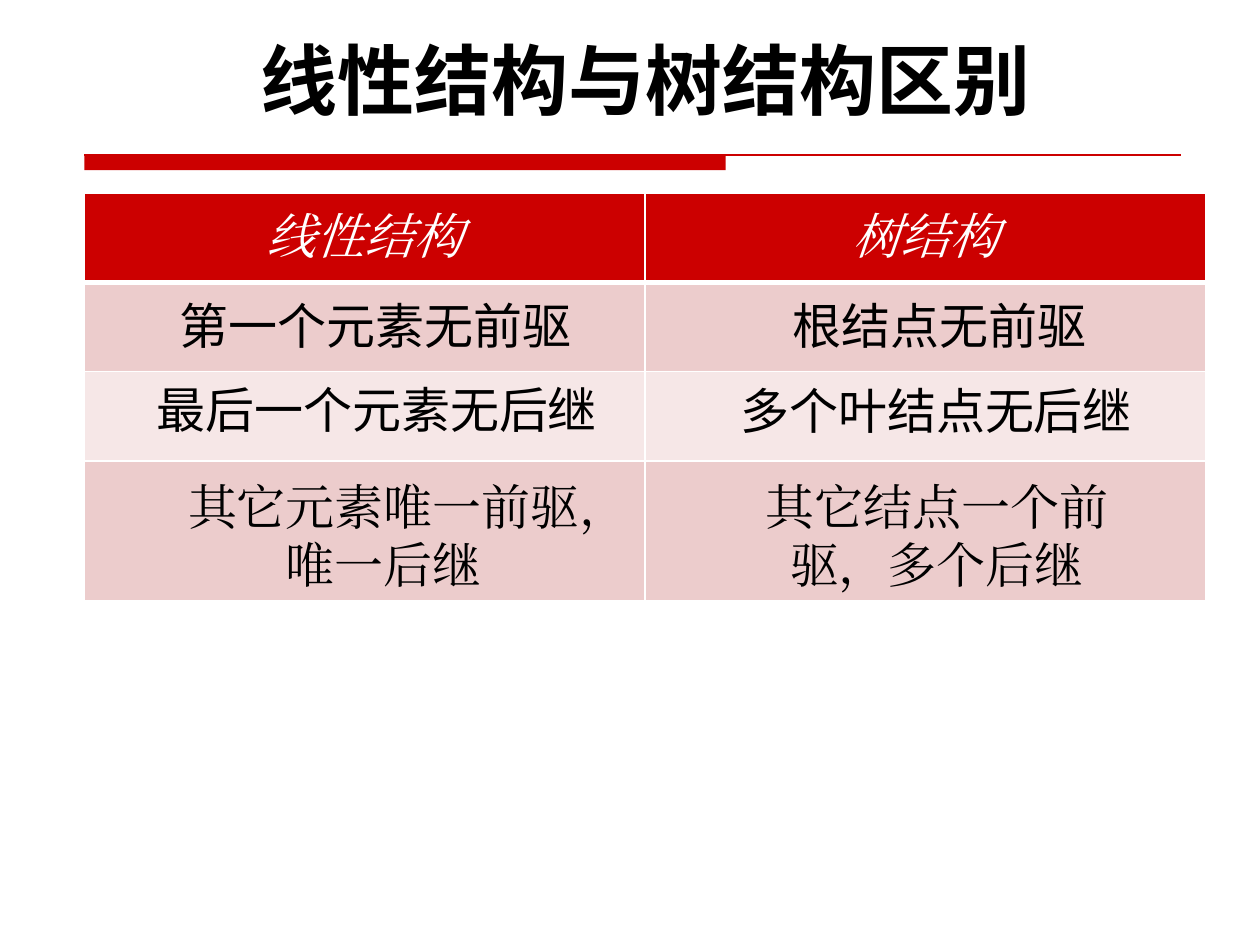
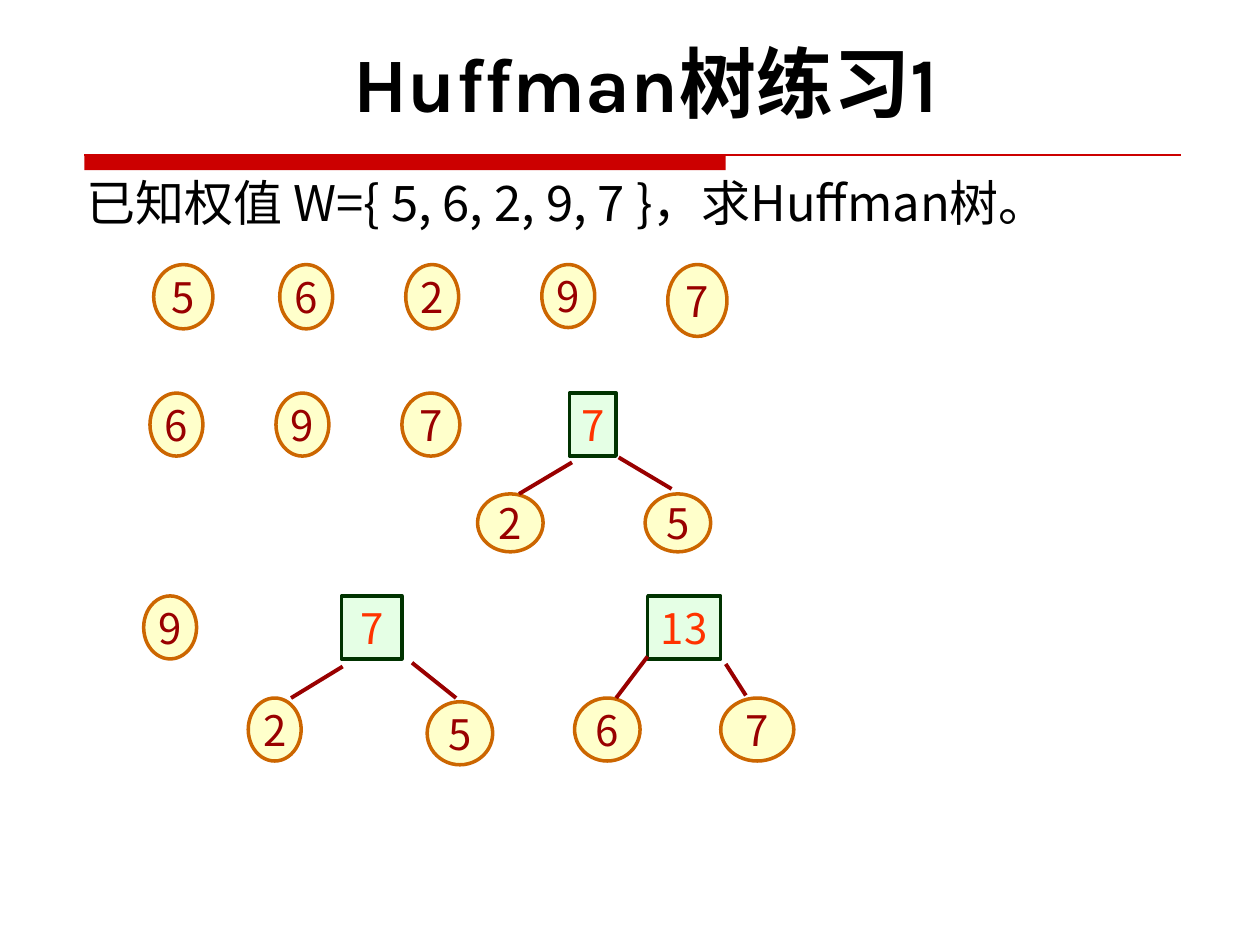
from pptx import Presentation
from pptx.dml.color import RGBColor
from pptx.enum.shapes import MSO_CONNECTOR, MSO_SHAPE
from pptx.enum.text import MSO_ANCHOR, PP_ALIGN
from pptx.oxml.ns import qn
from pptx.util import Inches, Pt
from lxml import etree

SANS, SERIF, TITLE = "Noto Sans CJK SC", "Times New Roman", "Karla"
RED, WHITE, BLACK = "CC0000", "FFFFFF", "000000"
LEAF = dict(shape=MSO_SHAPE.OVAL, fill="FFFF99", line="CC6600", color="990000")
ROOT = dict(shape=MSO_SHAPE.RECTANGLE, fill="CCFFCC", line="003300", color="FF3300")
EDGE = "990000"


def rgb(value):
    return RGBColor.from_string(value)


def write(tf, text, size=28, font=SANS, color=BLACK, bold=False, italic=False,
          align=PP_ALIGN.CENTER, wrap=True, anchor=MSO_ANCHOR.TOP):
    tf.word_wrap = wrap
    tf.vertical_anchor = anchor
    p = tf.paragraphs[0]
    p.alignment = align
    r = p.add_run()
    r.text = text
    f = r.font
    f.size, f.name, f.bold, f.italic = Pt(size), font, bold, italic
    f.color.rgb = rgb(color)
    # East Asian characters use the same typeface
    etree.SubElement(r._r.get_or_add_rPr(), qn("a:ea"), typeface=font)


def add_text(s, x, y, w, h, text, **fmt):
    box = s.shapes.add_textbox(Inches(x), Inches(y), Inches(w), Inches(h))
    write(box.text_frame, text, **fmt)


def add_line(s, x1, y1, x2, y2, color, width):
    c = s.shapes.add_connector(MSO_CONNECTOR.STRAIGHT, Inches(x1), Inches(y1),
                               Inches(x2), Inches(y2))
    c.line.color.rgb = rgb(color)
    c.line.width = Pt(width)
    etree.SubElement(c._element.spPr, qn("a:effectLst"))


def add_shape(s, shape, x, y, w, h, fill):
    sp = s.shapes.add_shape(shape, Inches(x), Inches(y), Inches(w), Inches(h))
    sp.shadow.inherit = False
    sp.fill.solid()
    sp.fill.fore_color.rgb = rgb(fill)
    sp.line.fill.background()
    return sp


def new_slide(prs, title, title_y):
    s = prs.slides.add_slide(prs.slide_layouts[6])
    # Title rule: thick bar continued by a thin line
    add_shape(s, MSO_SHAPE.RECTANGLE, 0.67, 1.23, 5.09, 0.12, RED)
    add_line(s, 0.67, 1.23, 9.37, 1.23, RED, 0.75)
    add_text(s, 0.5, title_y, 9.25, 0.84, title, size=44, font=TITLE, bold=True)
    return s


# ---- Comparison table ----
def set_borders(cell, bottom):
    tcPr = cell._tc.get_or_add_tcPr()
    widths = {"lnL": 1, "lnR": 1, "lnT": 1, "lnB": bottom}
    for i, (tag, width) in enumerate(widths.items()):
        ln = etree.Element(qn(f"a:{tag}"), w=str(Pt(width)))
        fill = etree.SubElement(ln, qn("a:solidFill"))
        etree.SubElement(fill, qn("a:srgbClr"), val=WHITE)
        tcPr.insert(i, ln)


def comparison_table(s, x, y, w, heads, row_heights, row_fills):
    table = s.shapes.add_table(len(row_heights), len(heads), Inches(x), Inches(y),
                               Inches(w), Inches(sum(row_heights))).table
    for col in table.columns:
        col.width = Inches(w / len(heads))
    for i, (height, fill) in enumerate(zip(row_heights, row_fills)):
        table.rows[i].height = Inches(height)
        for cell in table.rows[i].cells:
            cell.fill.solid()
            cell.fill.fore_color.rgb = rgb(fill)
            set_borders(cell, bottom=3 if i == 0 else 1)
    for cell, head in zip(table.rows[0].cells, heads):
        write(cell.text_frame, head, font=SERIF, color=WHITE, italic=True)
        cell.vertical_anchor = MSO_ANCHOR.MIDDLE


def comparison_slide(prs):
    s = new_slide(prs, "线性结构与树结构区别", 0.21)
    x, y = 0.67, 1.53
    comparison_table(s, x, y, 8.9, ["线性结构", "树结构"],
                     [0.71, 0.71, 0.71, 1.11], [RED, "ECCCCC", "F6E7E7", "ECCCCC"])
    # Entries laid over the body rows: offset from the table, size, font, text
    entries = [
        (0.46, 0.77, 3.7, 0.57, SANS, "第一个元素无前驱"),
        (5.38, 0.77, 2.81, 0.57, SANS, "根结点无前驱"),
        (0.47, 1.43, 3.7, 0.57, SANS, "最后一个元素无后继"),
        (5.03, 1.44, 3.46, 0.57, SANS, "多个叶结点无后继"),
        (0.58, 2.2, 3.59, 1.04, SERIF, "其它元素唯一前驱，唯一后继"),
        (5.14, 2.2, 3.25, 1.04, SERIF, "其它结点一个前驱，多个后继"),
    ]
    for dx, dy, w, h, font, text in entries:
        add_text(s, x + dx, y + dy, w, h, text, font=font)


# ---- Huffman exercise ----
def add_node(s, x, y, w, h, weight, shape, fill, line, color):
    sp = add_shape(s, shape, x, y, w, h, fill)
    clr = sp.fill._xPr.find(qn("a:solidFill"))[0]
    etree.SubElement(clr, qn("a:alpha"), val="50000")
    sp.line.color.rgb = rgb(line)
    sp.line.width = Pt(2)
    write(sp.text_frame, weight, size=24, color=color, wrap=False,
          anchor=MSO_ANCHOR.MIDDLE)


def leaf_row(s, x, y, leaves):
    for dx, w, h, weight in leaves:
        add_node(s, x + dx, y, w, h, weight, **LEAF)


def merged_tree(s, x, y, root, leaves, edges):
    """Root on top, its two leaves and edges placed from the tree's corner."""
    dx, w, weight = root
    add_node(s, x + dx, y, w, 0.5, weight, **ROOT)
    for dx, dy, w, h, weight in leaves:
        add_node(s, x + dx, y + dy, w, h, weight, **LEAF)
    for x1, y1, x2, y2 in edges:
        add_line(s, x + x1, y + y1, x + x2, y + y2, EDGE, 2.25)


def huffman_slide(prs):
    s = new_slide(prs, "Huffman树练习1", 0.23)
    add_text(s, 0.59, 1.32, 9.27, 0.57,
             "已知权值 W={ 5, 6, 2, 9, 7 }，求Huffman树。", align=PP_ALIGN.LEFT)

    # Step 1: the given weights
    leaf_row(s, 1.22, 2.1, [(0, 0.47, 0.51, "5"), (1, 0.42, 0.51, "6"),
                            (2, 0.42, 0.51, "2"), (3.08, 0.42, 0.5, "9"),
                            (4.08, 0.47, 0.57, "7")])

    # Step 2: 2 and 5 merged
    leaf_row(s, 1.19, 3.12, [(0, 0.42, 0.5, "6"), (1, 0.42, 0.5, "9"),
                             (2, 0.46, 0.5, "7")])
    merged_tree(s, 3.79, 3.12, (0.73, 0.37, "7"),
                [(0, 0.8, 0.52, 0.46, "2"), (1.33, 0.8, 0.52, 0.46, "5")],
                [(0.75, 0.55, 0.33, 0.8), (1.12, 0.51, 1.54, 0.76)])

    # Step 3: 6 and 7 merged
    leaf_row(s, 1.14, 4.73, [(0, 0.42, 0.5, "9")])
    merged_tree(s, 1.97, 4.73, (0.74, 0.48, "7"),
                [(0, 0.81, 0.42, 0.5, "2"), (1.42, 0.84, 0.52, 0.5, "5")],
                [(0.75, 0.56, 0.34, 0.81), (1.3, 0.53, 1.65, 0.81)])
    merged_tree(s, 4.56, 4.73, (0.58, 0.58, "13"),
                [(0, 0.81, 0.52, 0.5, "6"), (1.16, 0.81, 0.58, 0.5, "7")],
                [(0.58, 0.48, 0.33, 0.81), (1.2, 0.54, 1.36, 0.79)])


def main():
    prs = Presentation()
    prs.slide_width, prs.slide_height = Inches(10), Inches(7.5)
    comparison_slide(prs)
    huffman_slide(prs)
    prs.save("out.pptx")


if __name__ == "__main__":
    main()
